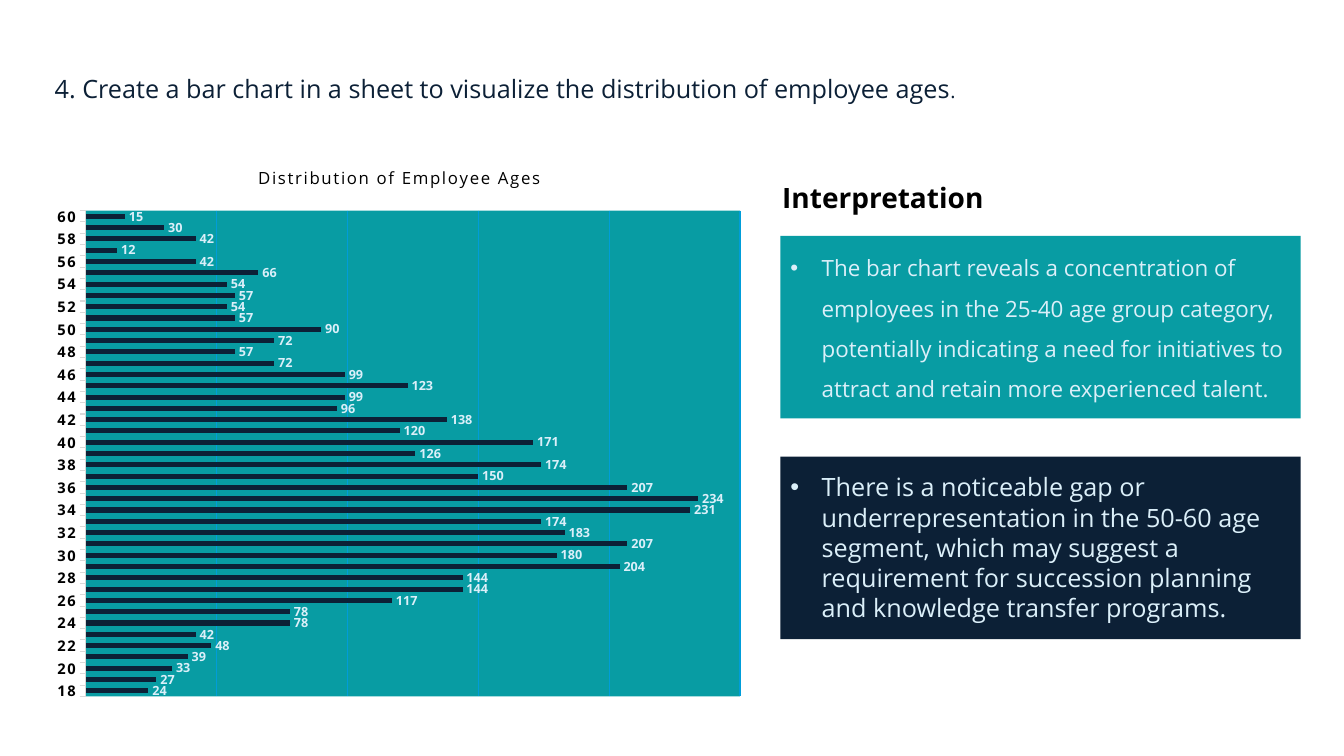
import lxml.etree
import pptx
import pptx.chart.data
import pptx.dml.color
import pptx.enum.chart
import pptx.enum.shapes
import pptx.enum.text
import pptx.oxml
import pptx.oxml.ns
import pptx.util

Inches = pptx.util.Inches
Pt = pptx.util.Pt
qn = pptx.oxml.ns.qn

COLORS = {"teal": "089CA3", "navy": "0C2036", "pale": "DBEFF9",
          "black": "000000", "gray": "D9D9D9", "blue": "009DD9"}
FONT = "Open Sans"

AGES = range(18, 61)
COUNTS = [24, 27, 33, 39, 48, 42, 78, 78, 117, 144, 144, 204, 180, 207, 183,
          174, 231, 234, 207, 150, 174, 126, 171, 120, 138, 96, 99, 123, 99,
          72, 57, 72, 90, 57, 54, 57, 54, 66, 42, 12, 42, 30, 15]

# Areas: left, top, width, height
CHART = (0.43, 1.44, 7.05, 5.62)
PLOT = (0.85, 2.09, 6.49, 4.82)
TITLE = (2.53, 1.6)


def color(name):
    return pptx.dml.color.RGBColor.from_string(COLORS[name])


def paint(fill, name):
    fill.solid()
    fill.fore_color.rgb = color(name)


def place(parent, index, area, inner=False):
    """Fix a chart part at an area given in slide inches."""
    old = parent.find(qn("c:layout"))
    if old is not None:
        parent.remove(old)
    layout = lxml.etree.Element(qn("c:layout"))
    manual = lxml.etree.SubElement(layout, qn("c:manualLayout"))
    parts = [("layoutTarget", "inner")] if inner else []
    parts += [("xMode", "edge"), ("yMode", "edge")]
    left, top, width, height = CHART
    parts += [("x", (area[0] - left) / width), ("y", (area[1] - top) / height)]
    if inner:
        parts += [("w", area[2] / width), ("h", area[3] / height)]
    for tag, value in parts:
        lxml.etree.SubElement(manual, qn("c:" + tag)).set("val", str(value))
    parent.insert(index, layout)


class Deck:
    def __init__(self):
        self.show = pptx.Presentation()
        self.show.slide_width = Inches(13.33)
        self.show.slide_height = Inches(7.5)
        self.slide = self.show.slides.add_slide(self.show.slide_layouts[3])
        self.shapes = self.slide.shapes

    def font(self, font, size, name, bold=False):
        font.name, font.size, font.bold = FONT, Pt(size), bold
        font.color.rgb = color(name)

    def panel(self, area, name):
        box = self.shapes.add_shape(pptx.enum.shapes.MSO_SHAPE.RECTANGLE,
                                    *map(Inches, area))
        box.shadow.inherit = False
        paint(box.fill, name)
        box.line.fill.background()

    def text(self, box, area, text, size, name, bold=False, space=1.0,
             bullet=False, center=False):
        box.left, box.top, box.width, box.height = map(Inches, area)
        self.shapes._spTree.append(box._element)
        frame = box.text_frame
        frame.word_wrap = True
        frame.auto_size = pptx.enum.text.MSO_AUTO_SIZE.NONE
        frame.vertical_anchor = pptx.enum.text.MSO_ANCHOR.TOP
        par = frame.paragraphs[0]
        par.add_run().text = text
        if bullet:
            props = par._p.get_or_add_pPr()
            props.set("marL", str(Inches(0.31)))
            props.set("indent", str(-Inches(0.31)))
            lxml.etree.SubElement(props, qn("a:buChar")).set("char", "•")
        align = pptx.enum.text.PP_ALIGN
        par.alignment = align.CENTER if center else align.LEFT
        par.line_spacing = space
        par.space_before = Pt(0)
        self.font(par.font, size, name, bold)
        return par

    def chart(self):
        kinds = pptx.enum.chart
        data = pptx.chart.data.CategoryChartData()
        data.categories = [str(age) for age in AGES]
        data.add_series("Series 1", COUNTS)
        chart = self.shapes.add_chart(kinds.XL_CHART_TYPE.BAR_CLUSTERED,
                                      *map(Inches, CHART), data).chart
        chart.has_legend = False
        self.font(chart.font, 10, "black")

        # Title
        par = chart.chart_title.text_frame.paragraphs[0]
        par.add_run().text = "Distribution of Employee Ages"
        self.font(par.font, 12, "black")
        self.font(par.runs[0].font, 12, "black")
        par.runs[0].font._element.set("spc", "120")
        place(chart.chart_title._element, 1, TITLE)

        # Bars and labels
        plot = chart.plots[0]
        plot.gap_width = 121
        plot.vary_by_categories = False
        bars = plot.series[0]
        paint(bars.format.fill, "navy")
        labels = bars.data_labels
        labels.show_value = True
        labels.position = kinds.XL_LABEL_POSITION.OUTSIDE_END
        self.font(labels.font, 9, "pale", True)

        # Axes
        axis = chart.category_axis
        axis.major_tick_mark = kinds.XL_TICK_MARK.OUTSIDE
        axis.format.line.color.rgb = color("gray")
        axis.format.line.width = Pt(0.75)
        self.font(axis.tick_labels.font, 10.5, "black", True)
        axis.tick_labels.font._element.set("spc", "120")
        skip = lxml.etree.Element(qn("c:tickLblSkip"))
        skip.set("val", "2")
        axis._element.find(qn("c:lblOffset")).addnext(skip)
        scale = chart.value_axis
        scale.minimum_scale, scale.maximum_scale = 0, 250
        scale.major_unit = 50
        scale.has_major_gridlines = True
        scale.major_gridlines.format.line.color.rgb = color("blue")
        scale.major_gridlines.format.line.width = Pt(0.75)
        scale.visible = False

        # Plot background
        area = chart._chartSpace.chart.plotArea
        place(area, 0, PLOT, True)
        area.append(pptx.oxml.parse_xml(
            f'<c:spPr {pptx.oxml.ns.nsdecls("c", "a")}><a:solidFill>'
            f'<a:srgbClr val="{COLORS["teal"]}"/></a:solidFill></c:spPr>'))


def main():
    deck = Deck()
    title, first, second = deck.slide.placeholders

    # Question
    par = deck.text(title, (0.15, 0.53, 9.72, 0.51),
                    "4. Create a bar chart in a sheet to visualize the "
                    "distribution of employee ages",
                    18, "navy", space=1.5, center=True)
    stop = par.add_run()
    stop.text = "."
    stop.font.size = Pt(14)

    deck.chart()

    # Interpretation
    head = (7.66, 1.74, 2.37, 0.44)
    deck.text(deck.shapes.add_textbox(*map(Inches, head)), head,
              "Interpretation", 20, "black", bold=True)
    deck.panel((7.74, 2.34, 5.16, 1.81), "teal")
    deck.text(first, (7.74, 2.34, 5.16, 1.67),
              "The bar chart reveals a concentration of employees in the 25-40 "
              "age group category, potentially indicating a need for "
              "initiatives to attract and retain more experienced talent.",
              16, "pale", space=1.5, bullet=True)
    deck.panel((7.74, 4.53, 5.16, 1.81), "navy")
    deck.text(second, (7.74, 4.63, 5.16, 1.62),
              "There is a noticeable gap or underrepresentation in the 50-60 "
              "age segment, which may suggest a requirement for succession "
              "planning and knowledge transfer programs.",
              18, "pale", bullet=True)

    deck.show.save("out.pptx")


if __name__ == "__main__":
    main()
